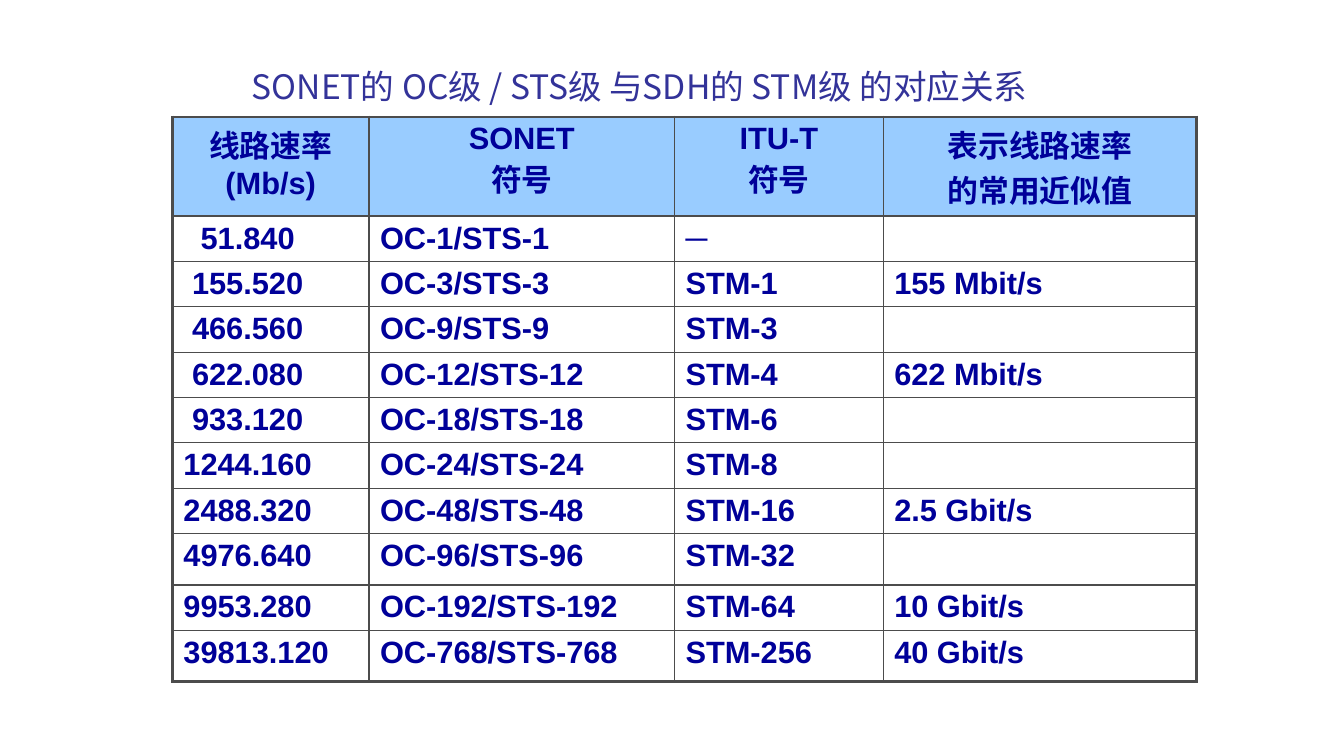
from lxml import etree
from pptx import Presentation
from pptx.dml.color import RGBColor
from pptx.enum.text import MSO_AUTO_SIZE, PP_ALIGN
from pptx.oxml.ns import qn
from pptx.util import Inches, Pt

CENTER, LEFT = PP_ALIGN.CENTER, PP_ALIGN.LEFT
FIT_SHAPE = MSO_AUTO_SIZE.SHAPE_TO_FIT_TEXT

COLORS = {
    "title": "333399",
    "cell_text": "000099",
    "header_fill": "99CCFF",
    "border": "4C4C4C",
}
LATIN_FONT = "Arial"
CHINESE_FONT = "Noto Sans CJK SC"
INNER_BORDER, OUTER_BORDER = 1, 2.25
CELL_MARGIN = 0.11
DIGIT_INDENT = 0.085
FULL_RATE_LENGTH = len("1244.160")

TITLE = "SONET的 OC级 / STS级 与SDH的 STM级 的对应关系"
HEADERS = ["线路速率\n(Mb/s)", "SONET\n符号", "ITU-T\n符号", "表示线路速率\n的常用近似值"]
# Line rate, OC/STS level, ITU-T symbol, common approximation
RATES = [
    ("51.840", 1, "─", ""),
    ("155.520", 3, "STM-1", "155 Mbit/s"),
    ("466.560", 9, "STM-3", ""),
    ("622.080", 12, "STM-4", "622 Mbit/s"),
    ("933.120", 18, "STM-6", ""),
    ("1244.160", 24, "STM-8", ""),
    ("2488.320", 48, "STM-16", "2.5 Gbit/s"),
    ("4976.640", 96, "STM-32", ""),
    ("9953.280", 192, "STM-64", "10 Gbit/s"),
    ("39813.120", 768, "STM-256", "40 Gbit/s"),
]
COLUMN_WIDTHS = [1.95, 3.03, 2.07, 3.11]
ROW_HEIGHTS = [0.81] + [0.45] * 7 + [0.51, 0.45, 0.51]


class SlideBuilder:
    def __init__(self, slide):
        self.slide = slide

    def format_text(self, text_frame, size, color, font, alignment, bold=False, chinese=False):
        for paragraph in text_frame.paragraphs:
            paragraph.alignment = alignment
            for run in paragraph.runs:
                run.font.size = Pt(size)
                run.font.bold = bold
                run.font.name = font
                run.font.color.rgb = RGBColor.from_string(COLORS[color])
                if chinese:
                    properties = run.font._element
                    etree.SubElement(properties, qn("a:ea"), typeface=CHINESE_FONT)

    def title(self, text, left, top, width, height):
        box = self.slide.shapes.add_textbox(
            Inches(left), Inches(top), Inches(width), Inches(height))
        frame = box.text_frame
        frame.word_wrap = True
        frame.auto_size = FIT_SHAPE
        frame.text = text
        self.format_text(frame, 24, "title", CHINESE_FONT, CENTER, chinese=True)

    def borders(self, cell, widths):
        """Draw cell borders from a dict of side letter to points."""
        properties = cell._tc.get_or_add_tcPr()
        for side, points in widths.items():
            line = etree.SubElement(properties, qn(f"a:ln{side}"), w=str(Pt(points)))
            fill = etree.SubElement(line, qn("a:solidFill"))
            etree.SubElement(fill, qn("a:srgbClr"), val=COLORS["border"])

    def cell(self, cell, text, is_header, indent):
        cell.margin_left = Inches(CELL_MARGIN + indent)
        cell.margin_right = Inches(CELL_MARGIN)
        cell.margin_top = cell.margin_bottom = Inches(0.05)
        if is_header:
            cell.fill.solid()
            cell.fill.fore_color.rgb = RGBColor.from_string(COLORS["header_fill"])
        else:
            cell.fill.background()
        cell.text_frame.text = text
        self.format_text(cell.text_frame, 22, "cell_text", LATIN_FONT,
                         CENTER if is_header else LEFT, bold=True, chinese=is_header)

    def table(self, rows, left, top):
        shape = self.slide.shapes.add_table(
            len(rows), len(COLUMN_WIDTHS), Inches(left), Inches(top),
            Inches(sum(COLUMN_WIDTHS)), Inches(sum(ROW_HEIGHTS)))
        table = shape.table
        table.first_row = table.horz_banding = False
        for column, width in zip(table.columns, COLUMN_WIDTHS):
            column.width = Inches(width)
        last_row, last_column = len(rows) - 1, len(COLUMN_WIDTHS) - 1
        for row_index, texts in enumerate(rows):
            table.rows[row_index].height = Inches(ROW_HEIGHTS[row_index])
            for column_index, text in enumerate(texts):
                cell = table.cell(row_index, column_index)
                outer = {
                    "L": column_index == 0,
                    "R": column_index == last_column,
                    "T": row_index == 0,
                    "B": row_index == last_row,
                }
                self.borders(cell, {side: OUTER_BORDER if edge else INNER_BORDER
                                    for side, edge in outer.items()})
                is_header = row_index == 0
                indent = 0
                if column_index == 0 and not is_header:
                    indent = DIGIT_INDENT * max(0, FULL_RATE_LENGTH - len(text))
                self.cell(cell, text, is_header, indent)


def main():
    presentation = Presentation()
    presentation.slide_width = Inches(13.33)
    presentation.slide_height = Inches(7.5)
    builder = SlideBuilder(presentation.slides.add_slide(presentation.slide_layouts[6]))
    rows = [HEADERS] + [(rate, f"OC-{level}/STS-{level}", symbol, approximation)
                        for rate, level, symbol, approximation in RATES]
    builder.table(rows, 1.71, 1.16)
    builder.title(TITLE, 2.01, 0.6, 8.67, 0.5)
    presentation.save("out.pptx")


if __name__ == "__main__":
    main()
